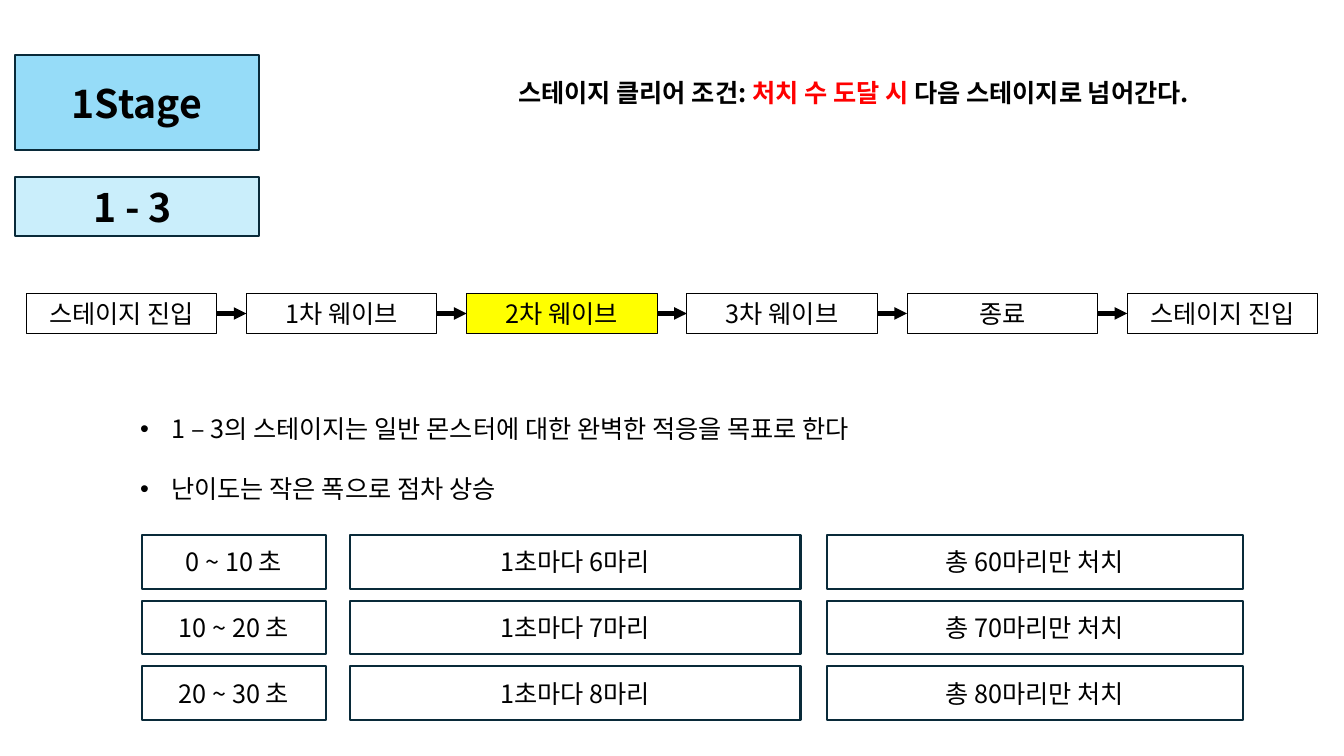
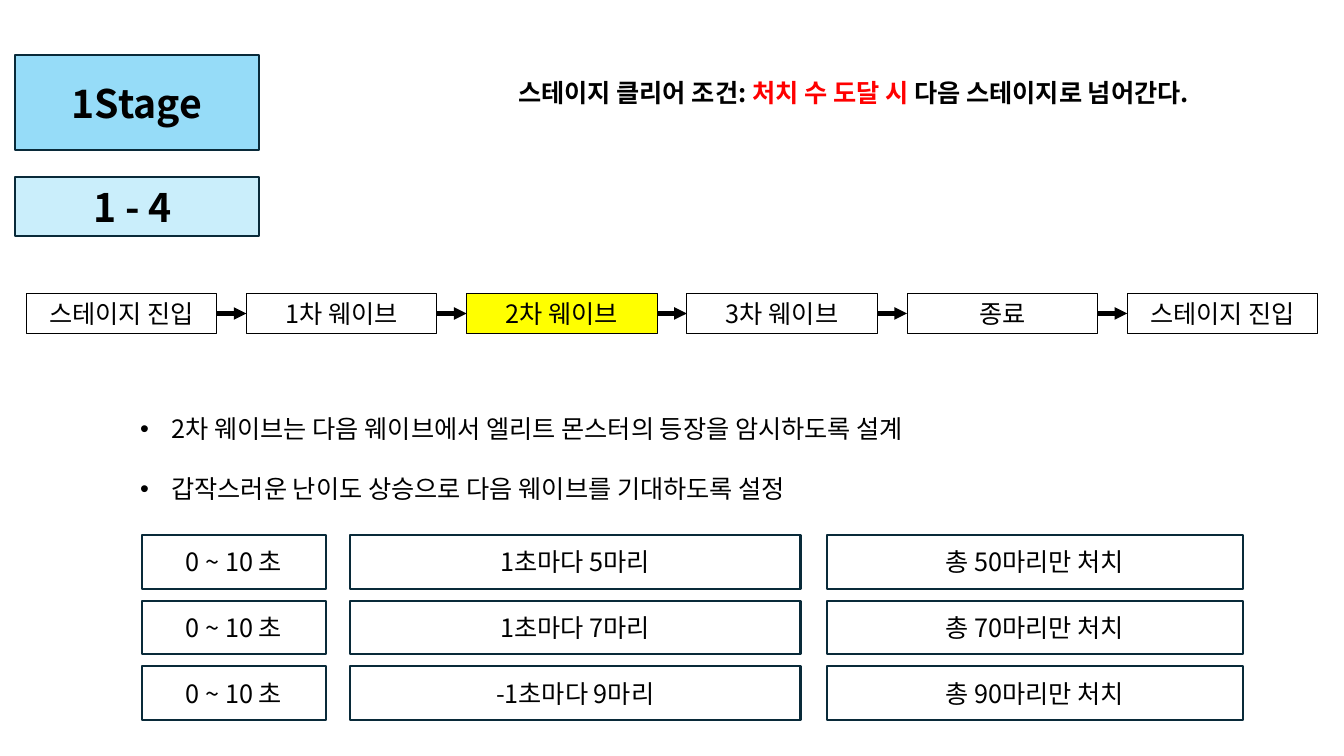
from dataclasses import dataclass

from pptx import Presentation
from pptx import util as u
from pptx.dml import color
from pptx.enum import shapes, text
from pptx.oxml import ns, xmlchemy

SLIDE_WIDTH, SLIDE_HEIGHT = 13.33, 7.5
FONT = "Noto Sans CJK KR"
BODY_SIZE, HEADING_SIZE = 18, 28
COLORS = {
    "ink": "000000",
    "frame": "092A39",
    "stage": "96DCF8",
    "level": "CAEEFB",
    "current": "FFFF00",
    "alert": "FF0000",
}


@dataclass(frozen=True)
class Box:
    left: float
    top: float
    width: float
    height: float


@dataclass(frozen=True)
class Run:
    words: str
    size: int = BODY_SIZE
    bold: bool = False
    color: str = "ink"


@dataclass(frozen=True)
class Style:
    fill: str | None = None
    line: str = "frame"
    weight: float = 1.5


@dataclass(frozen=True)
class Column:
    left: float
    width: float


@dataclass(frozen=True)
class Level:
    name: str
    goals: tuple[str, ...]
    waves: tuple[tuple[str, str, str], ...]


STAGE_BOX = Box(0.15, 0.55, 2.42, 0.94)
LEVEL_BOX = Box(0.15, 1.76, 2.42, 0.58)
CONDITION_BOX = Box(5.04, 0.72, 7.96, 0.4)
GOALS_BOX = Box(1.29, 3.75, 10.92, 1.22)
BULLET_INDENT = 0.31

STEPS = ("스테이지 진입", "1차 웨이브", "2차 웨이브", "3차 웨이브", "종료", "스테이지 진입")
CURRENT_STEP = 2
FIRST_STEP = Box(0.26, 2.91, 1.89, 0.4)
STEP_PITCH = (11.18 - FIRST_STEP.left) / (len(STEPS) - 1)

WAVE_COLUMNS = (Column(1.41, 1.82), Column(3.47, 4.47), Column(8.2, 4.13))
WAVE_TOP, WAVE_PITCH, WAVE_HEIGHT = 5.31, 0.65, 0.53

CONDITION = (
    Run("스테이지 클리어 조건: ", bold=True),
    Run("처치 수 도달 시 ", bold=True, color="alert"),
    Run("다음 스테이지로 넘어간다.", bold=True),
)

LEVELS = (
    Level(
        "1 - 3 ",
        (
            "1 – 3의 스테이지는 일반 몬스터에 대한 완벽한 적응을 목표로 한다",
            "난이도는 작은 폭으로 점차 상승",
        ),
        (
            ("0 ~ 10 초", "1초마다 6마리", "총 60마리만 처치"),
            ("10 ~ 20 초", "1초마다 7마리", "총 70마리만 처치"),
            ("20 ~ 30 초", "1초마다 8마리", "총 80마리만 처치"),
        ),
    ),
    Level(
        "1 - 4 ",
        (
            "2차 웨이브는 다음 웨이브에서 엘리트 몬스터의 등장을 암시하도록 설계",
            "갑작스러운 난이도 상승으로 다음 웨이브를 기대하도록 설정",
        ),
        (
            ("0 ~ 10 초", "1초마다 5마리", "총 50마리만 처치"),
            ("0 ~ 10 초", "1초마다 7마리", "총 70마리만 처치"),
            ("0 ~ 10 초", "-1초마다 9마리", "총 90마리만 처치"),
        ),
    ),
)


def rgb(name: str) -> color.RGBColor:
    return color.RGBColor.from_string(COLORS[name])


def inches(box: Box) -> tuple[int, ...]:
    return tuple(u.Inches(n) for n in (box.left, box.top, box.width, box.height))


def add_child(parent: xmlchemy.BaseOxmlElement, tag: str, **attributes: str) -> None:
    child = parent.makeelement(ns.qn(tag), attributes)
    parent.append(child)


def place(shape, box: Box) -> None:
    shape.left, shape.top, shape.width, shape.height = inches(box)


def add_run(paragraph, run: Run) -> None:
    new_run = paragraph.add_run()
    new_run.text = run.words
    font = new_run.font
    font.name, font.size, font.bold = FONT, u.Pt(run.size), run.bold
    font.color.rgb = rgb(run.color)
    add_child(font._element if hasattr(font, "_element") else new_run._r.get_or_add_rPr(),
              "a:ea", typeface=FONT)


def prepare_frame(shape, anchor: text.MSO_ANCHOR = text.MSO_ANCHOR.MIDDLE):
    frame = shape.text_frame
    frame.word_wrap = True
    frame.auto_size = text.MSO_AUTO_SIZE.NONE
    frame.vertical_anchor = anchor
    return frame


def dress(shape, style: Style, run: Run) -> None:
    if style.fill:
        shape.fill.solid()
        shape.fill.fore_color.rgb = rgb(style.fill)
    else:
        shape.fill.background()
    shape.line.color.rgb = rgb(style.line)
    shape.line.width = u.Pt(style.weight)
    paragraph = prepare_frame(shape).paragraphs[0]
    paragraph.alignment = text.PP_ALIGN.CENTER
    add_run(paragraph, run)


def add_box(slide, box: Box, style: Style, run: Run) -> None:
    shape = slide.shapes.add_shape(shapes.MSO_SHAPE.RECTANGLE, *inches(box))
    shape.shadow.inherit = False
    dress(shape, style, run)


def add_arrow(slide, start: float, end: float, height: float) -> None:
    connector = slide.shapes.add_connector(
        shapes.MSO_CONNECTOR.STRAIGHT,
        u.Inches(start), u.Inches(height), u.Inches(end), u.Inches(height),
    )
    connector.line.color.rgb = rgb("ink")
    connector.line.width = u.Pt(3)
    add_child(connector.get_or_add_ln(), "a:tailEnd", type="triangle")
    add_child(connector._element.spPr, "a:effectLst")


def add_headings(slide, level: Level) -> None:
    add_box(slide, STAGE_BOX, Style("stage"), Run("1Stage", HEADING_SIZE, True))
    title = slide.shapes.title
    place(title, LEVEL_BOX)
    dress(title, Style("level"), Run(level.name, HEADING_SIZE, True))
    condition = slide.shapes.add_textbox(*inches(CONDITION_BOX))
    paragraph = prepare_frame(condition).paragraphs[0]
    for run in CONDITION:
        add_run(paragraph, run)


def add_steps(slide) -> None:
    middle = FIRST_STEP.top + FIRST_STEP.height / 2
    for index, step in enumerate(STEPS):
        left = FIRST_STEP.left + index * STEP_PITCH
        box = Box(left, FIRST_STEP.top, FIRST_STEP.width, FIRST_STEP.height)
        fill = "current" if index == CURRENT_STEP else None
        add_box(slide, box, Style(fill, "ink", 0.75), Run(step))
        if index < len(STEPS) - 1:
            add_arrow(slide, left + FIRST_STEP.width, left + STEP_PITCH, middle)


def add_goals(slide, goals: tuple[str, ...]) -> None:
    body = slide.placeholders[1]
    place(body, GOALS_BOX)
    frame = prepare_frame(body, text.MSO_ANCHOR.TOP)
    for index, goal in enumerate(goals):
        paragraph = frame.add_paragraph() if index else frame.paragraphs[0]
        paragraph.line_spacing = 2.0
        paragraph.space_before = u.Pt(0)
        properties = paragraph._p.get_or_add_pPr()
        indent = u.Inches(BULLET_INDENT)
        properties.set("marL", str(indent))
        properties.set("indent", str(-indent))
        add_child(properties, "a:buFont", typeface="Arial")
        add_child(properties, "a:buChar", char="•")
        add_run(paragraph, Run(goal))


def add_waves(slide, waves: tuple[tuple[str, str, str], ...]) -> None:
    for row, wave in enumerate(waves):
        top = WAVE_TOP + row * WAVE_PITCH
        for column, words in zip(WAVE_COLUMNS, wave):
            box = Box(column.left, top, column.width, WAVE_HEIGHT)
            add_box(slide, box, Style(), Run(words))


def add_level(presentation, level: Level) -> None:
    slide = presentation.slides.add_slide(presentation.slide_layouts[1])
    add_headings(slide, level)
    add_steps(slide)
    add_goals(slide, level.goals)
    add_waves(slide, level.waves)


def main() -> None:
    presentation = Presentation()
    presentation.slide_width = u.Inches(SLIDE_WIDTH)
    presentation.slide_height = u.Inches(SLIDE_HEIGHT)
    for level in LEVELS:
        add_level(presentation, level)
    presentation.save("out.pptx")


if __name__ == "__main__":
    main()
